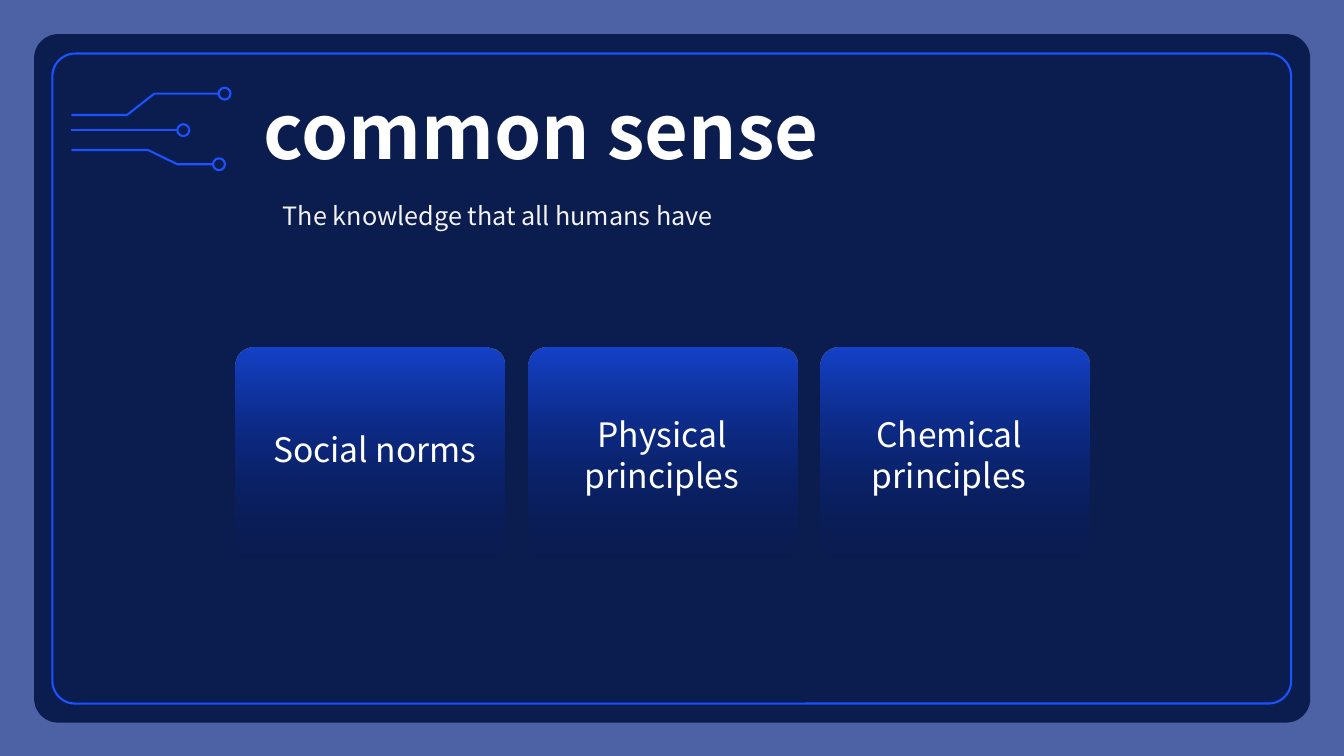
"""Build the "common sense" slide with three gradient cards."""
import pptx
import pptx.dml.color
import pptx.enum.shapes
import pptx.enum.text
import pptx.oxml
import pptx.oxml.ns
import pptx.util
from lxml import etree

Cm = pptx.util.Cm
Pt = pptx.util.Pt
Shapes = pptx.enum.shapes.MSO_SHAPE
Align = pptx.enum.text.PP_ALIGN


def colour(hex_string):
    return pptx.dml.color.RGBColor.from_string(hex_string)


def set_alpha(fill_element, percents):
    qn = pptx.oxml.ns.qn
    for element, percent in zip(fill_element.iter(qn("a:srgbClr")), percents):
        etree.SubElement(element, qn("a:alpha"), val=str(percent * 1000))


class SlideBuilder:
    font_name = "Noto Sans CJK SC"
    accent = "1A53FF"
    navy = "002080"
    white = "FFFFFF"
    line_width = 1.5

    def __init__(self, presentation):
        self.slide = presentation.slides.add_slide(presentation.slide_layouts[0])
        self.shapes = self.slide.shapes

    def outline(self, shape):
        shape.line.color.rgb = colour(self.accent)
        shape.line.width = Pt(self.line_width)

    def shape(self, kind, left, top, width, height, corner=None):
        shape = self.shapes.add_shape(kind, Cm(left), Cm(top), Cm(width), Cm(height))
        shape.shadow.inherit = False
        if corner is not None:
            shape.adjustments[0] = corner
        return shape

    def panel(self, kind, box, fill, alpha, corner=None):
        shape = self.shape(kind, *box, corner=corner)
        shape.fill.solid()
        shape.fill.fore_color.rgb = colour(fill)
        set_alpha(shape.element.spPr, [alpha])
        shape.line.fill.background()

    def outlined(self, kind, box, corner=None):
        shape = self.shape(kind, *box, corner=corner)
        shape.fill.background()
        self.outline(shape)

    def card(self, box):
        shape = self.shape(Shapes.ROUNDED_RECTANGLE, *box, corner=0.083)
        shape.fill.gradient()
        shape.fill.gradient_angle = 270
        stops = zip(shape.fill.gradient_stops, (self.accent, self.navy), (0, 1))
        for stop, stop_colour, position in stops:
            stop.color.rgb = colour(stop_colour)
            stop.position = position
        set_alpha(shape.element.spPr, [70, 0])
        shape.line.fill.background()

    def trace(self, points):
        positions = [(Cm(x), Cm(y)) for x, y in points]
        if len(positions) == 2:
            straight = pptx.enum.shapes.MSO_CONNECTOR.STRAIGHT
            line = self.shapes.add_connector(straight, *positions[0], *positions[1])
            etree.SubElement(line.element.spPr, pptx.oxml.ns.qn("a:effectLst"))
        else:
            builder = self.shapes.build_freeform(*positions[0])
            builder.add_line_segments(positions[1:], close=False)
            line = builder.convert_to_shape()
            line.shadow.inherit = False
            line.fill.background()
        self.outline(line)
        end_x, end_y = points[-1]
        self.outlined(Shapes.OVAL, (end_x, end_y - 0.15, 0.3, 0.3))

    def format_text(self, shape, text, size, text_colour, alignment, bold=False, indent=0.25):
        frame = shape.text_frame
        frame.text = text
        frame_format = {
            "word_wrap": True,
            "auto_size": pptx.enum.text.MSO_AUTO_SIZE.NONE,
            "vertical_anchor": pptx.enum.text.MSO_ANCHOR.TOP,
            "margin_left": Cm(indent),
        }
        for name, value in frame_format.items():
            setattr(frame, name, value)
        paragraph = frame.paragraphs[0]
        paragraph.alignment = alignment
        paragraph.space_before = Pt(0)
        font_format = {"name": self.font_name, "size": Pt(size), "bold": bold}
        for name, value in font_format.items():
            setattr(paragraph.runs[0].font, name, value)
        paragraph.runs[0].font.color.rgb = colour(text_colour)

    def placeholder(self, index, box, text, size, text_colour, **options):
        shape = self.slide.placeholders[index]
        for name, value in zip(("left", "top", "width", "height"), box):
            setattr(shape, name, Cm(value))
        self.format_text(shape, text, size, text_colour, Align.LEFT, **options)
        shape.element.getparent().append(shape.element)

    def label(self, box, text):
        shape = self.shapes.add_textbox(*map(Cm, box))
        self.format_text(shape, text, 24, self.white, Align.CENTER)


def main():
    presentation = pptx.Presentation()
    presentation.slide_width = Cm(33.87)
    presentation.slide_height = Cm(19.05)
    builder = SlideBuilder(presentation)

    rounded = Shapes.ROUNDED_RECTANGLE
    builder.panel(Shapes.RECTANGLE, (0, 0, 33.87, 19.05), builder.navy, 70)
    builder.panel(rounded, (0.86, 0.86, 32.16, 17.35), "001040", 85, corner=0.035)
    builder.outlined(rounded, (1.32, 1.35, 31.22, 16.38), corner=0.035)

    labels = [
        ("Social norms", 10.69, 1.27),
        ("Physical principles", 10.31, 2.31),
        ("Chemical principles", 10.31, 2.31),
    ]
    for column, (text, top, height) in enumerate(labels):
        builder.card((5.94 + column * 7.37, 8.76, 6.78, 5.33))
        builder.label((6.22 + column * 7.24, top, 6.45, height), text)

    traces = [
        [(1.8, 2.9), (3.2, 2.9), (3.89, 2.36), (5.51, 2.36)],
        [(1.8, 3.28), (4.47, 3.28)],
        [(1.8, 3.78), (3.73, 3.78), (4.47, 4.14), (5.37, 4.14)],
    ]
    for points in traces:
        builder.trace(points)

    builder.placeholder(0, (6.4, 1.98, 18.36, 2.57), "common sense", 54,
                        builder.white, bold=True)
    builder.placeholder(1, (6.73, 4.93, 12.22, 1.02),
                        "The knowledge that all humans have", 18, "F2F2F2", indent=0.4)
    presentation.save("out.pptx")


if __name__ == "__main__":
    main()
